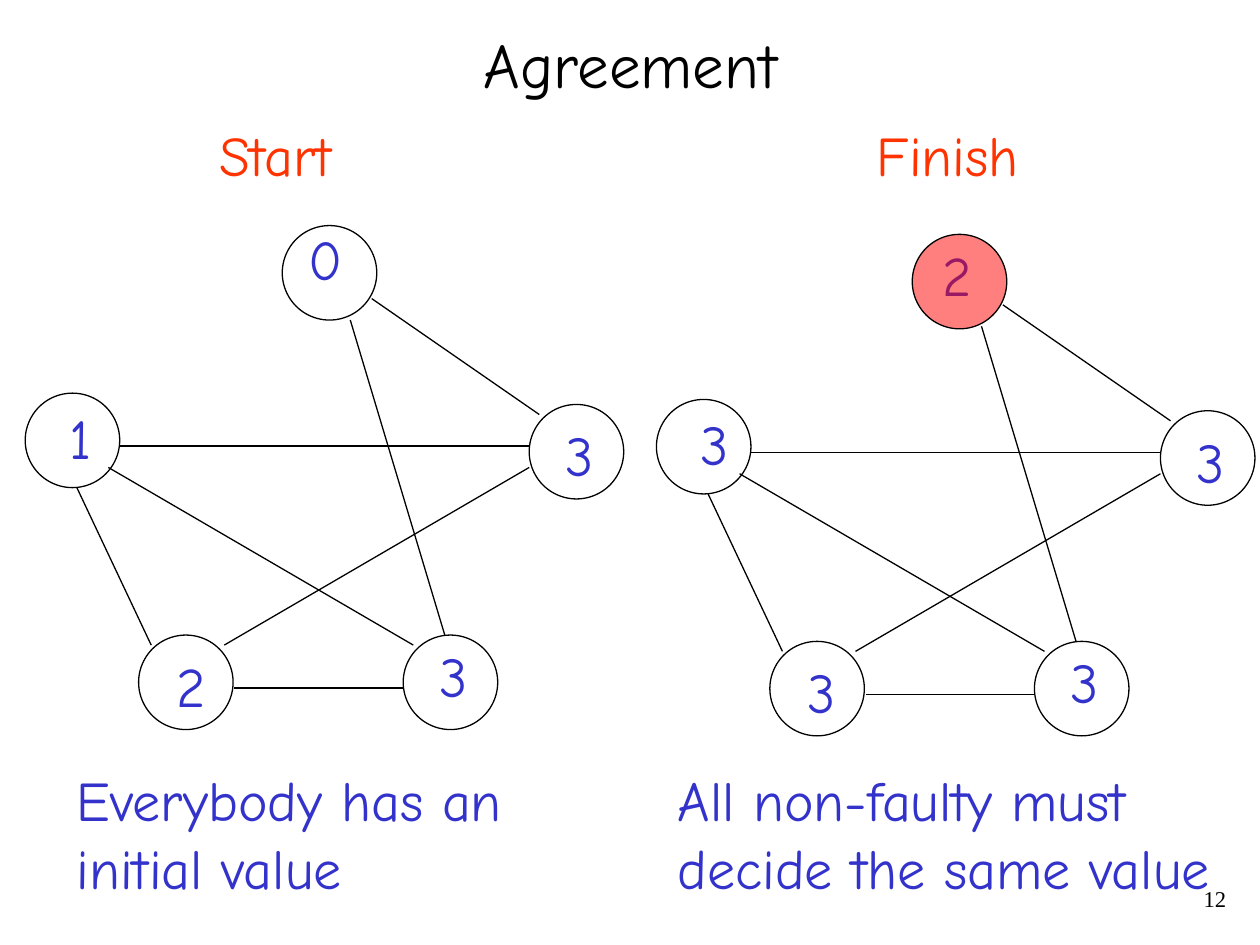
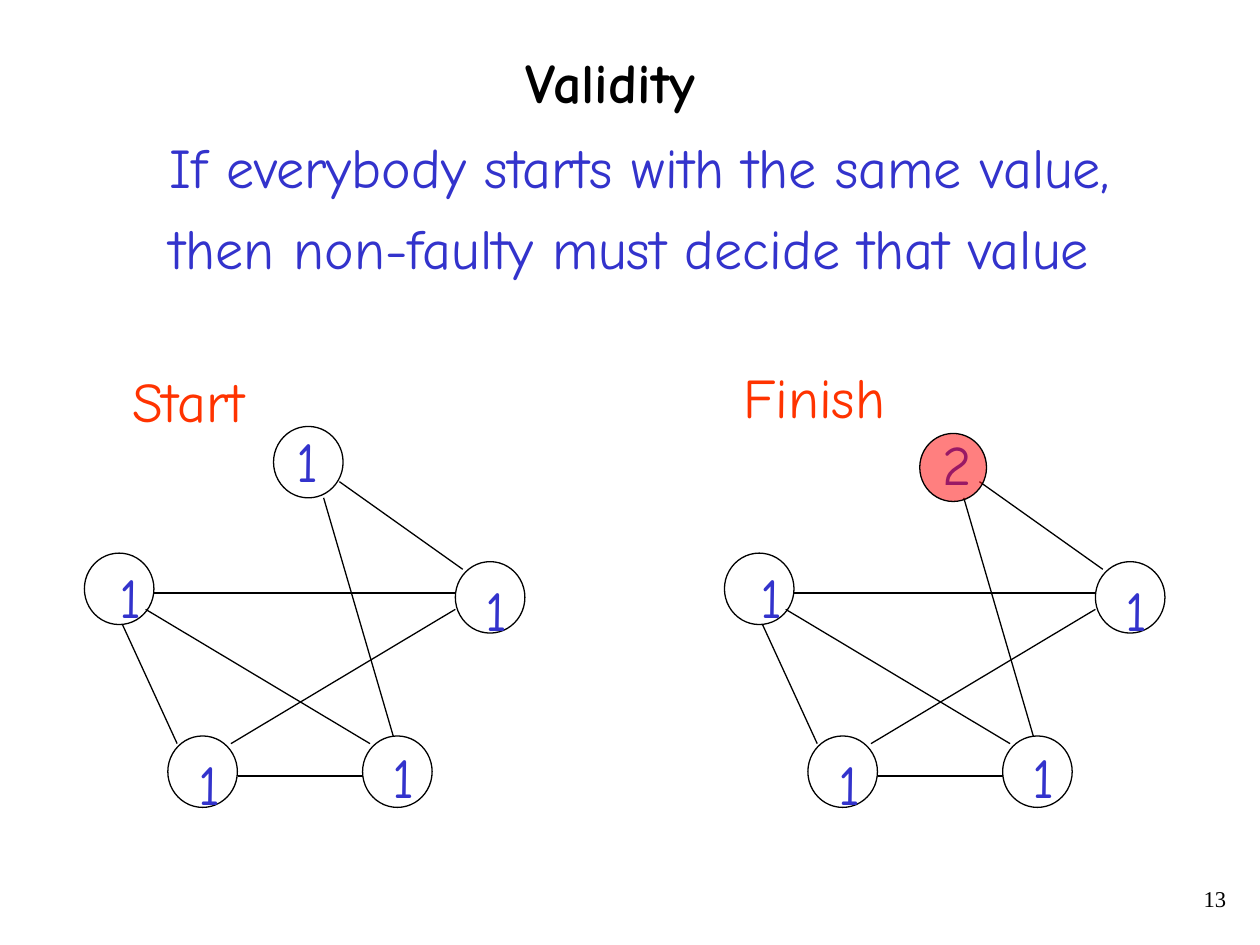
from dataclasses import dataclass
from typing import NamedTuple

from lxml.etree import SubElement
from pptx import Presentation
from pptx.dml.color import RGBColor
from pptx.enum.shapes import MSO_CONNECTOR, MSO_SHAPE
from pptx.enum.text import MSO_ANCHOR, MSO_AUTO_SIZE, PP_ALIGN
from pptx.oxml.ns import qn
from pptx.slide import Slide
from pptx.text.text import TextFrame
from pptx.util import Inches, Pt

BLACK, BLUE, ORANGE, RED = "000000", "3333CC", "FF3300", "FF0000"
BODY_FONT, NUMBER_FONT = "Comic Neue", "Times New Roman"
NODE_SIZE = 0.75
LINE_HEIGHT = 0.64
DIGIT_WIDTHS = {"0": 0.47, "1": 0.37, "2": 0.43, "3": 0.42}


class Point(NamedTuple):
    x: float
    y: float


class Box(NamedTuple):
    left: float
    top: float
    width: float
    height: float

    def lengths(self) -> list[int]:
        return [Inches(side) for side in self]


class Peer(NamedTuple):
    """Corners of a circle and of its value, measured from the left peer."""
    circle: Point
    value: Point


# Order: top, left, bottom left, bottom right, right
PEERS = [
    Peer(Point(2.04, -1.33), Point(2.15, -1.39)),
    Peer(Point(0, 0), Point(0.25, 0.03)),
    Peer(Point(0.9, 1.92), Point(1.1, 2)),
    Peer(Point(3, 1.92), Point(3.19, 1.92)),
    Peer(Point(4, 0.09), Point(4.19, 0.17)),
]
LINKS = [
    (Point(2.75, -0.75), Point(4.08, 0.17)),
    (Point(3, 2.34), Point(1.66, 2.34)),
    (Point(1, 2), Point(0.41, 0.75)),
    (Point(0.75, 0.42), Point(4, 0.42)),
    (Point(0.66, 0.59), Point(3.08, 2)),
    (Point(4, 0.59), Point(1.58, 2)),
    (Point(2.58, -0.58), Point(3.33, 1.92)),
]


@dataclass
class Faulty:
    """The faulty top peer, covered by a translucent circle."""
    circle: Box
    value: Point


@dataclass
class Network:
    heading: str
    heading_box: Box
    origin: Point
    values: str
    faulty: Faulty | None = None


@dataclass
class Caption:
    text: str
    box: Box
    wrap: bool = True


@dataclass
class Page:
    number: int
    title: str
    title_box: Box
    title_size: float
    title_bold: bool
    title_anchor: MSO_ANCHOR
    scale: Point
    networks: list[Network]
    captions: list[Caption]


PAGES = [
    Page(
        12, "Agreement", Box(0.17, 0.17, 9.67, 0.67), 36, False, MSO_ANCHOR.MIDDLE,
        Point(1, 1),
        [
            Network("Start", Box(1.64, 0.91, 1.1, LINE_HEIGHT), Point(0.2, 3.12), "01233"),
            Network("Finish", Box(6.86, 0.91, 1.33, LINE_HEIGHT), Point(5.21, 3.17), "23333",
                    Faulty(Box(7.24, 1.86, 0.75, 0.75), Point(7.38, 1.86))),
        ],
        [
            Caption("Everybody has an initial value", Box(0.51, 6.03, 3.94, 1.17)),
            Caption("All non-faulty must decide the same value", Box(5.28, 6.03, 4.76, 1.17)),
        ],
    ),
    Page(
        13, "Validity", Box(0.67, 0.33, 8.35, LINE_HEIGHT), 32, True, MSO_ANCHOR.TOP,
        Point(0.736, 0.756),
        [
            Network("Start", Box(0.95, 2.86, 1.1, LINE_HEIGHT), Point(0.67, 4.39), "11111"),
            Network("Finish", Box(5.8, 2.83, 1.33, LINE_HEIGHT), Point(5.75, 4.39), "21111",
                    Faulty(Box(7.3, 3.44, 0.53, 0.54), Point(7.38, 3.36))),
        ],
        [
            Caption("If everybody starts with the same value,\n"
                    "then non-faulty must decide that value",
                    Box(1.25, 1, 7.85, 1.28), wrap=False),
        ],
    ),
]


def color(value: str) -> RGBColor:
    return RGBColor.from_string(value)


def format_text(frame: TextFrame, size: float, hex_color: str, font: str = BODY_FONT,
                bold: bool = False, align: PP_ALIGN = PP_ALIGN.LEFT,
                space_before: float = 8, line_spacing: float = 1) -> None:
    for paragraph in frame.paragraphs:
        paragraph.alignment = align
        paragraph.space_before = Pt(space_before)
        paragraph.line_spacing = line_spacing
        for run in paragraph.runs:
            run.font.name = font
            run.font.size = Pt(size)
            run.font.bold = bold
            run.font.color.rgb = color(hex_color)


def add_label(slide: Slide, text: str, box: Box, hex_color: str, wrap: bool = False) -> None:
    frame = slide.shapes.add_textbox(*box.lengths()).text_frame
    frame.text = text
    frame.word_wrap = wrap
    frame.auto_size = MSO_AUTO_SIZE.SHAPE_TO_FIT_TEXT
    format_text(frame, 32, hex_color)


def add_title(slide: Slide, page: Page) -> None:
    title = slide.shapes.title
    title.left, title.top, title.width, title.height = page.title_box.lengths()
    frame = title.text_frame
    frame.text = page.title
    frame.word_wrap = True
    frame.auto_size = MSO_AUTO_SIZE.NONE
    frame.vertical_anchor = page.title_anchor
    format_text(frame, page.title_size, BLACK, bold=page.title_bold,
                align=PP_ALIGN.CENTER, space_before=8 if page.title_bold else 0)


def add_page_number(slide: Slide, number: int) -> None:
    frame = slide.shapes.add_textbox(*Box(7.75, 7, 2.08, 0.33).lengths()).text_frame
    frame.text = str(number)
    frame.word_wrap = True
    format_text(frame, 12.9, BLACK, NUMBER_FONT, align=PP_ALIGN.RIGHT,
                space_before=0, line_spacing=0.9)


def add_circle(slide: Slide, box: Box, fill: str | None = None) -> None:
    """Draw an outlined circle, half transparent when filled."""
    circle = slide.shapes.add_shape(MSO_SHAPE.OVAL, *box.lengths())
    circle.shadow.inherit = False
    circle.line.color.rgb = color(BLACK)
    circle.line.width = Pt(0.75)
    if fill is None:
        circle.fill.background()
        return
    circle.fill.solid()
    circle.fill.fore_color.rgb = color(fill)
    tint = circle.fill._xPr.find(qn("a:solidFill")).find(qn("a:srgbClr"))
    SubElement(tint, qn("a:alpha"), val="50000")


def add_link(slide: Slide, start: Point, end: Point) -> None:
    ends = [Inches(length) for length in (*start, *end)]
    link = slide.shapes.add_connector(MSO_CONNECTOR.STRAIGHT, *ends)
    link.line.color.rgb = color(BLACK)
    link.line.width = Pt(0.75)
    SubElement(link._element.spPr, qn("a:effectLst"))


def add_network(slide: Slide, network: Network, scale: Point) -> None:
    def place(point: Point) -> Point:
        return Point(network.origin.x + point.x * scale.x,
                     network.origin.y + point.y * scale.y)

    faulty = network.faulty
    healthy = PEERS[1:] if faulty else PEERS
    for peer in healthy:
        add_circle(slide, Box(*place(peer.circle), NODE_SIZE * scale.x, NODE_SIZE * scale.y))
    for start, end in LINKS:
        add_link(slide, place(start), place(end))
    corners = [place(peer.value) for peer in PEERS]
    if faulty:
        corners[0] = faulty.value
    for digit, corner in zip(network.values, corners):
        add_label(slide, digit, Box(*corner, DIGIT_WIDTHS[digit], LINE_HEIGHT), BLUE)
    add_label(slide, network.heading, network.heading_box, ORANGE)
    if faulty:
        add_circle(slide, faulty.circle, RED)


def main() -> None:
    deck = Presentation()
    deck.slide_width, deck.slide_height = Inches(10), Inches(7.5)
    title_only = deck.slide_layouts[5]
    for page in PAGES:
        slide = deck.slides.add_slide(title_only)
        add_page_number(slide, page.number)
        add_title(slide, page)
        for network in page.networks:
            add_network(slide, network, page.scale)
        for caption in page.captions:
            add_label(slide, caption.text, caption.box, BLUE, caption.wrap)
    deck.save("out.pptx")


if __name__ == "__main__":
    main()
